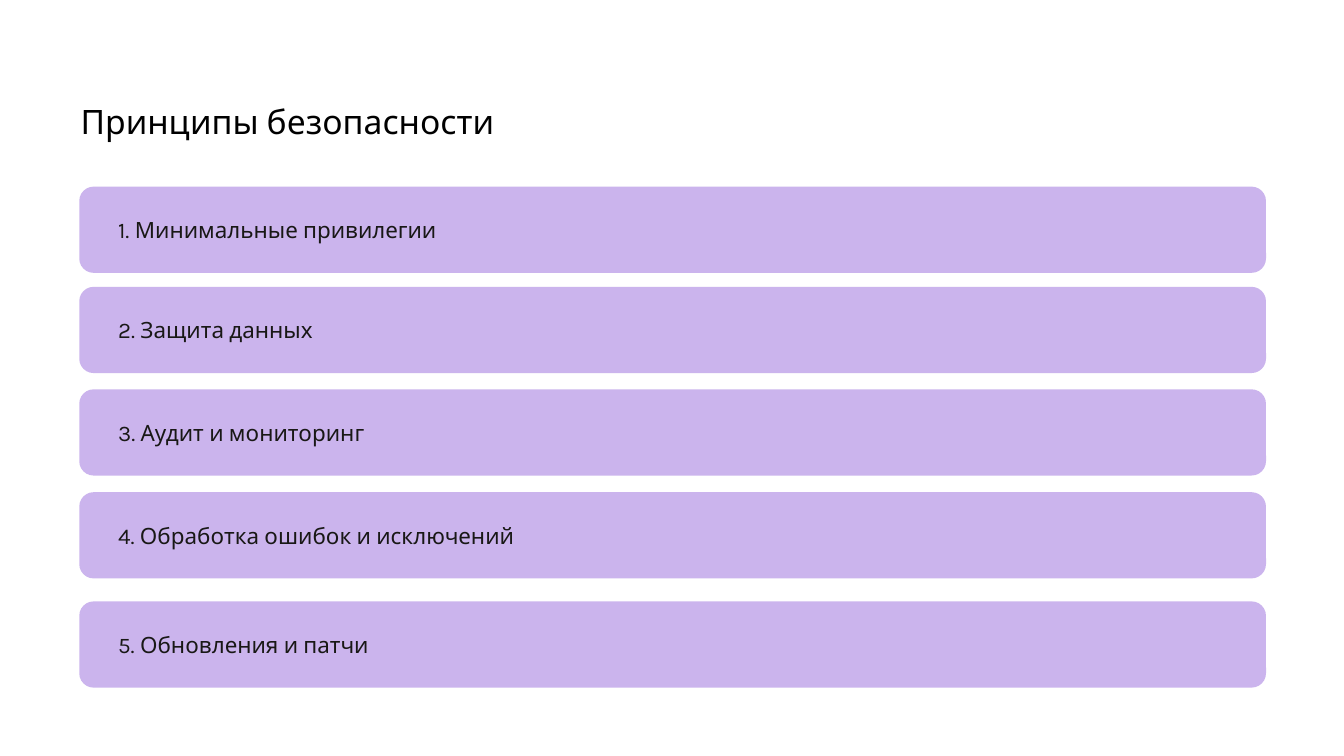
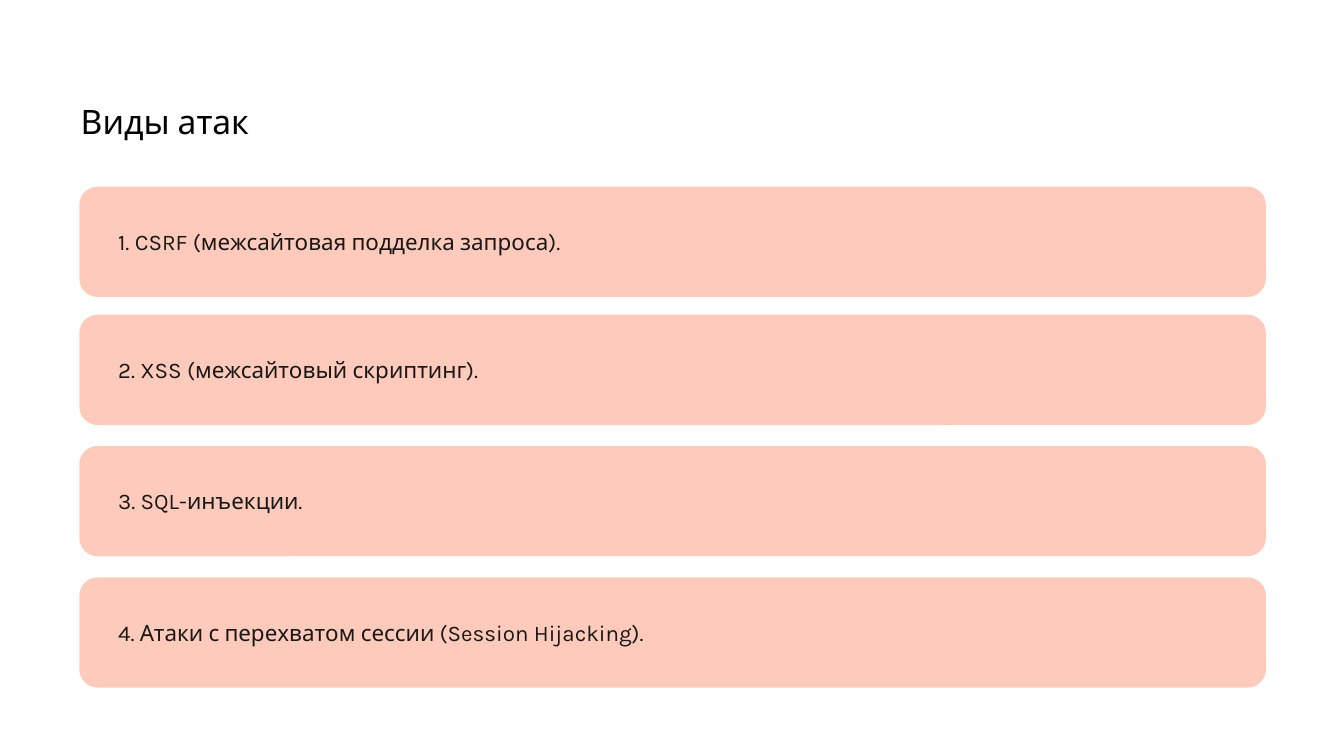
from dataclasses import dataclass

from pptx import Presentation
from pptx.dml.color import RGBColor
from pptx.enum import shapes, text
from pptx.util import Pt

FONT = "Karla"
WHITE = RGBColor(0xFF, 0xFF, 0xFF)
BLACK = RGBColor(0x00, 0x00, 0x00)
INK = RGBColor(0x19, 0x18, 0x16)
LILAC = RGBColor(0xCB, 0xB4, 0xED)
PEACH = RGBColor(0xFE, 0xCA, 0xBB)

CARD_LEFT, CARD_WIDTH, CARD_RADIUS = 42.5, 635.75, 0.167
LABEL_LEFT, LABEL_HEIGHT, LABEL_INSET = 56.2, 28.8, 7.2


@dataclass(frozen=True)
class Card:
    top: float
    label: str
    label_width: float = 277.2


@dataclass(frozen=True)
class CardSlide:
    title: str
    color: RGBColor
    card_height: float
    cards: tuple[Card, ...]


SLIDES = (
    CardSlide("Принципы безопасности", LILAC, 46.2, (
        Card(100, "1. Минимальные привилегии"),
        Card(153.7, "2. Защита данных"),
        Card(208.6, "3. Аудит и мониторинг"),
        Card(263.7, "4. Обработка ошибок и исключений"),
        Card(322.2, "5. Обновления и патчи"),
    )),
    CardSlide("Виды атак", PEACH, 59.1, (
        Card(100, "1. CSRF (межсайтовая подделка запроса)."),
        Card(168.6, "2. XSS (межсайтовый скриптинг)."),
        Card(238.9, "3. SQL-инъекции."),
        Card(309.3, "4. Атаки с перехватом сессии (Session Hijacking).", 427.7),
    )),
)


def add_text(s, left: float, top: float, width: float, height: float,
             content: str, size: float, color: RGBColor, inset: float = 0):
    """Add a one-paragraph text box and return its text frame."""
    tf = s.shapes.add_textbox(Pt(left), Pt(top), Pt(width), Pt(height)).text_frame
    tf.word_wrap = True
    tf.margin_left = tf.margin_right = tf.margin_top = tf.margin_bottom = Pt(inset)
    tf.text = content
    font = tf.paragraphs[0].runs[0].font
    font.name, font.size, font.color.rgb = FONT, Pt(size), color
    return tf


def add_title(s, title: str) -> None:
    tf = add_text(s, 43.2, 56.9, 635, 18.7, title, 18, BLACK)
    tf.vertical_anchor = text.MSO_ANCHOR.BOTTOM
    tf.paragraphs[0].line_spacing = 0.85


def add_card(s, card: Card, height: float, color: RGBColor) -> None:
    """Draw a rounded band with its label centred vertically on it."""
    sp = s.shapes.add_shape(shapes.MSO_SHAPE.ROUNDED_RECTANGLE, Pt(CARD_LEFT),
                            Pt(card.top), Pt(CARD_WIDTH), Pt(height))
    sp.adjustments[0] = CARD_RADIUS
    sp.shadow.inherit = False
    sp.fill.solid()
    sp.fill.fore_color.rgb = color
    sp.line.fill.background()
    label_top = card.top + (height - LABEL_HEIGHT) / 2
    tf = add_text(s, LABEL_LEFT, label_top, card.label_width, LABEL_HEIGHT,
                  card.label, 12, INK, LABEL_INSET)
    tf.auto_size = text.MSO_AUTO_SIZE.SHAPE_TO_FIT_TEXT
    tf.paragraphs[0].alignment = text.PP_ALIGN.JUSTIFY


def add_card_slide(prs, content: CardSlide) -> None:
    s = prs.slides.add_slide(prs.slide_layouts[6])
    s.background.fill.solid()
    s.background.fill.fore_color.rgb = WHITE
    add_title(s, content.title)
    for card in content.cards:
        add_card(s, card, content.card_height, content.color)


def main() -> None:
    prs = Presentation()
    prs.slide_width, prs.slide_height = Pt(720), Pt(405)
    for content in SLIDES:
        add_card_slide(prs, content)
    prs.save("out.pptx")


if __name__ == "__main__":
    main()
